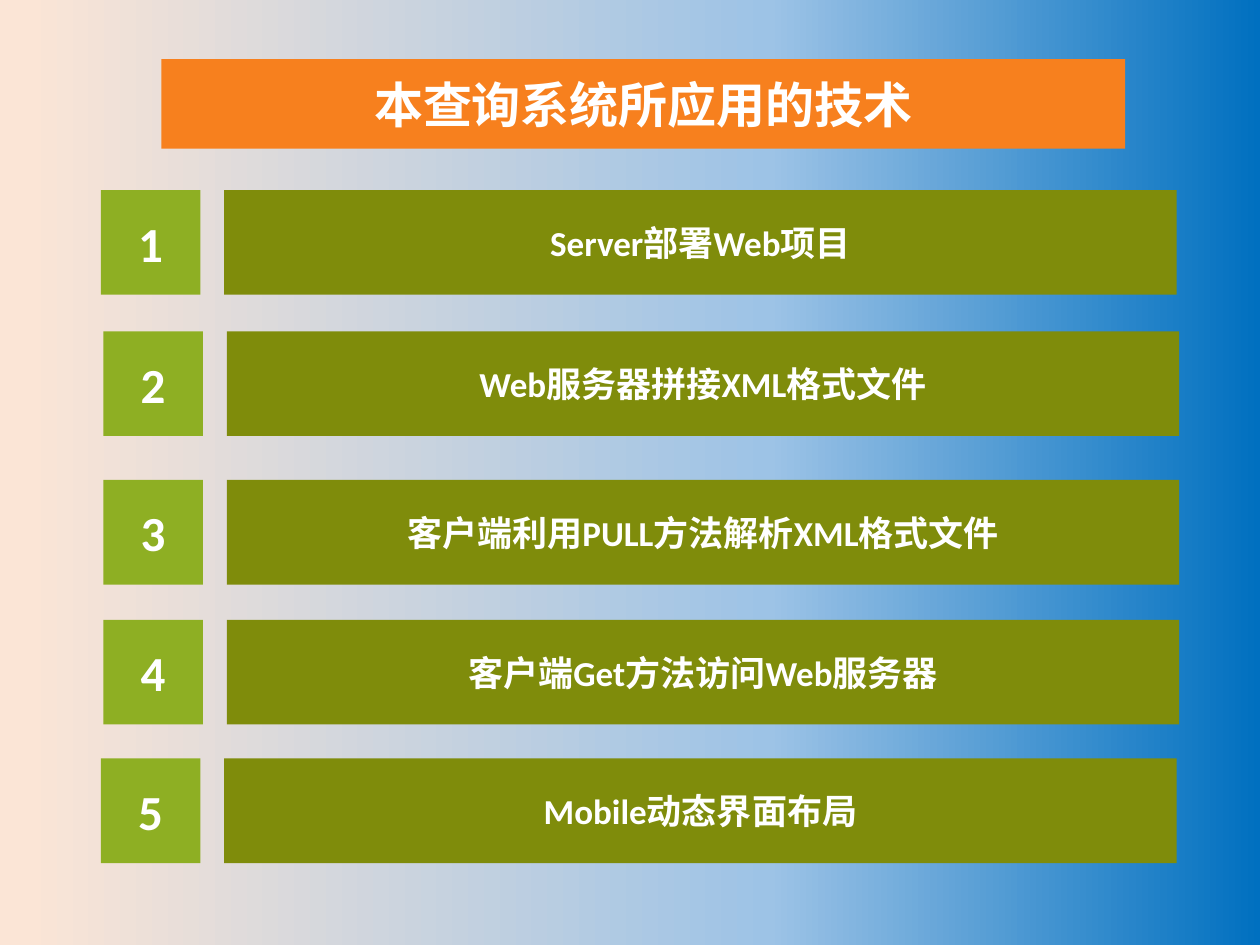
from copy import deepcopy

from pptx import Presentation
from pptx.dml.color import RGBColor
from pptx.enum.shapes import MSO_SHAPE
from pptx.enum.text import MSO_ANCHOR, PP_ALIGN
from pptx.util import Inches, Pt

COLORS = {
    "title": "F7801E",
    "number": "8EAF23",
    "topic": "7F8C0B",
    "text": "FFFFFF",
    "right": "0070C0",
    "middle": "9DC3E6",
    "left": "FBE5D6",
}


def add_box(left, top, width, height, color, text, size):
    box = slide.shapes.add_shape(
        MSO_SHAPE.RECTANGLE, Inches(left), Inches(top), Inches(width), Inches(height)
    )
    box.shadow.inherit = False
    box.fill.solid()
    box.fill.fore_color.rgb = RGBColor.from_string(COLORS[color])
    box.line.fill.background()
    frame = box.text_frame
    frame.word_wrap = True
    frame.vertical_anchor = MSO_ANCHOR.MIDDLE
    frame.text = text
    para = frame.paragraphs[0]
    para.alignment = PP_ALIGN.CENTER
    font = para.runs[0].font
    font.name = "Calibri"
    font.size = Pt(size)
    font.bold = True
    font.color.rgb = RGBColor.from_string(COLORS["text"])


deck = Presentation()
deck.slide_width = Inches(10)
deck.slide_height = Inches(7.5)
slide = deck.slides.add_slide(deck.slide_layouts[6])

backdrop = slide.background.fill
backdrop.gradient()
backdrop.gradient_angle = 180
stop_list = slide.element.xpath(".//a:gsLst")[0]
stop_list.append(deepcopy(stop_list[0]))
gradient = [("right", 0), ("middle", 0.39), ("left", 0.98)]
for stop, (name, position) in zip(backdrop.gradient_stops, gradient):
    stop.color.rgb = RGBColor.from_string(COLORS[name])
    stop.position = position

add_box(1.28, 0.47, 7.65, 0.71, "title", "本查询系统所应用的技术", 28)

topics = [
    (0.8, 1.51, "Server部署Web项目"),
    (0.82, 2.63, "Web服务器拼接XML格式文件"),
    (0.82, 3.81, "客户端利用PULL方法解析XML格式文件"),
    (0.82, 4.92, "客户端Get方法访问Web服务器"),
    (0.8, 6.02, "Mobile动态界面布局"),
]
for number, (left, top, topic) in enumerate(topics, start=1):
    add_box(left, top, 0.79, 0.83, "number", str(number), 28)
    add_box(left + 0.98, top, 7.56, 0.83, "topic", topic, 20)

deck.save("out.pptx")
